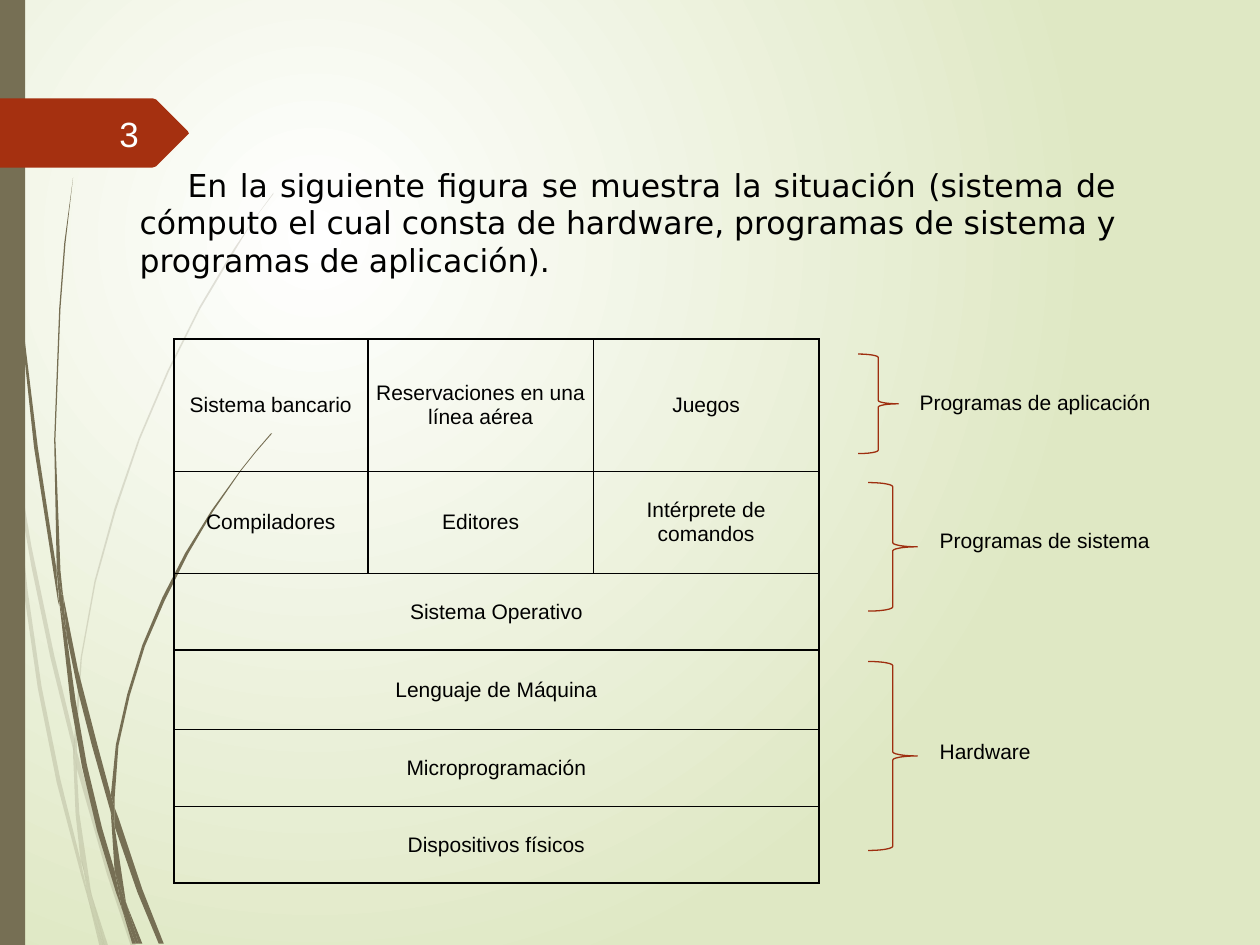
from lxml import etree
from pptx import Presentation
from pptx.dml.color import RGBColor
from pptx.enum.shapes import MSO_SHAPE
from pptx.enum.text import MSO_ANCHOR, PP_ALIGN
from pptx.oxml.ns import qn
from pptx.util import Emu, Inches, Pt

RECTANGLE, RIGHT_BRACE = MSO_SHAPE.RECTANGLE, MSO_SHAPE.RIGHT_BRACE
TOP, MIDDLE = MSO_ANCHOR.TOP, MSO_ANCHOR.MIDDLE
LEFT, CENTER, RIGHT, JUSTIFY = PP_ALIGN.LEFT, PP_ALIGN.CENTER, PP_ALIGN.RIGHT, PP_ALIGN.JUSTIFY

BLACK, WHITE, PALE_GREEN = "000000", "FFFFFF", "DFE8C4"
OLIVE, RED, DARK_RED, OFF_WHITE = "766F54", "A53010", "9E2E0F", "FEFFFF"

PALE_STRANDS = [
    [(0.08, 3.5), (0.06, 3.22), (0, 2.82), (0, 2.99), (0.07, 3.44)],
    [(0.4, 5.22), (0.59, 5.99), (0.59, 5.86), (0.43, 5.2), (0.25, 4.34), (0.1, 3.45),
     (0.12, 3.76), (0.25, 4.5)],
    [(0.64, 6.07), (0.61, 5.96), (0.61, 6.1), (0.85, 6.94), (1.04, 7.51), (1.08, 7.51),
     (0.88, 6.92)],
    [(0.83, 7.51), (0.86, 7.51), (0.73, 7.11)],
    [(0.64, 6.83), (0.48, 6.19), (0.33, 5.45), (0.22, 4.69), (0.12, 3.76), (0.08, 3.5),
     (0.19, 4.7), (0.3, 5.46), (0.45, 6.21), (0.64, 6.93), (0.7, 7.14), (0.69, 7.07)],
    [(0.58, 5.99), (0.6, 6.46), (0.64, 6.83), (0.67, 6.92), (0.73, 7.11), (0.72, 7.06),
     (0.63, 6.46), (0.61, 6.1), (0.61, 6.08)],
    [(0.61, 5.84), (0.65, 5.22), (0.76, 4.62), (0.92, 4.05), (1.11, 3.49), (1.34, 2.95),
     (1.59, 2.45), (1.87, 1.98), (2.01, 1.75), (2.17, 1.54), (2.17, 1.53), (2.01, 1.75),
     (1.86, 1.97), (1.58, 2.44), (1.33, 2.94), (1.1, 3.48), (0.91, 4.03), (0.75, 4.61),
     (0.64, 5.22), (0.59, 5.84), (0.59, 5.86), (0.61, 5.96)],
    [(0.7, 7.14), (0.79, 7.51), (0.82, 7.51)],
    [(0.61, 6.08), (0.61, 6.1), (0.61, 5.96), (0.59, 5.86), (0.58, 5.99)],
    [(0.67, 6.92), (0.65, 6.83), (0.69, 7.07), (0.7, 7.14), (0.82, 7.51), (0.83, 7.51),
     (0.73, 7.11)],
]
DARK_STRANDS = [
    [(0.05, 1.1), (0.14, 2.33), (0.27, 3.55), (0.46, 4.77), (0.47, 4.81), (0.45, 4.57),
     (0.45, 4.53), (0.3, 3.55), (0.15, 2.32), (0.06, 1.09), (0.04, 0.48), (0.03, 0),
     (0.02, 0), (0.03, 0.48)],
    [(0.73, 5.92), (0.88, 6.45), (0.88, 6.33), (0.88, 6.31), (0.77, 5.9), (0.62, 5.32),
     (0.5, 4.72), (0.53, 5.05), (0.62, 5.49)],
    [(0.94, 6.49), (0.91, 6.41), (0.91, 6.56), (1.09, 7.08), (1.26, 7.49), (1.3, 7.49),
     (1.13, 7.06)],
    [(0.91, 6.91), (0.81, 6.57), (0.69, 6.07), (0.6, 5.56), (0.53, 5.05), (0.47, 4.77),
     (0.56, 5.57), (0.65, 6.08), (0.77, 6.59), (0.92, 7.08), (0.97, 7.22), (0.96, 7.17)],
    [(0.5, 4.72), (0.48, 4.53), (0.44, 3.49), (0.48, 2.45), (0.52, 1.93), (0.58, 1.41),
     (0.51, 1.93), (0.47, 2.45), (0.43, 3.49), (0.45, 4.49), (0.49, 4.72)],
    [(1.1, 7.49), (1.13, 7.49), (1.01, 7.19)],
    [(0.47, 4.77), (0.53, 5.05), (0.5, 4.72), (0.49, 4.72), (0.45, 4.49), (0.45, 4.53)],
    [(0.91, 6.33), (0.94, 5.92), (1.03, 5.52), (1.15, 5.13), (1.31, 4.76), (1.49, 4.4),
     (1.69, 4.06), (1.91, 3.74), (2.03, 3.59), (2.16, 3.44), (2.15, 3.44), (2.03, 3.58),
     (1.91, 3.73), (1.68, 4.05), (1.47, 4.39), (1.29, 4.74), (1.13, 5.12), (1.01, 5.51),
     (0.92, 5.91), (0.88, 6.31), (0.91, 6.41)],
    [(0.97, 7.22), (1.05, 7.49), (1.08, 7.49)],
    [(0.88, 6.45), (0.91, 6.91), (0.96, 7.06), (1.01, 7.19), (1, 7.16), (0.91, 6.56),
     (0.9, 6.51)],
    [(0.88, 6.45), (0.9, 6.51), (0.91, 6.56), (0.91, 6.41), (0.88, 6.31), (0.88, 6.33)],
    [(0.96, 7.06), (0.91, 6.91), (0.96, 7.17), (0.97, 7.22), (1.08, 7.49), (1.1, 7.49),
     (1.01, 7.19)],
]
PAGE_TAG = [(0, 0.78), (1.21, 0.78), (1.24, 0.79), (1.49, 1.04), (1.5, 1.06), (1.49, 1.07),
            (1.24, 1.32), (1.21, 1.33), (0, 1.33)]

INTRODUCTION = ("En la siguiente figura se muestra la situación (sistema de cómputo el cual "
                "consta de hardware, programas de sistema y programas de aplicación).")
LAYERS = [
    ["Sistema bancario", "Reservaciones en una línea aérea", "Juegos"],
    ["Compiladores", "Editores", "Intérprete de comandos"],
    ["Sistema Operativo"],
    ["Lenguaje de Máquina"],
    ["Microprogramación"],
    ["Dispositivos físicos"],
]
COLUMN_WIDTHS = [1.54, 1.79, 1.79]
ROW_HEIGHTS = [1.05, 0.81, 0.61, 0.63, 0.61, 0.61]
BRACES = [(6.81, 2.81, 0.32, 0.79), (6.89, 3.83, 0.39, 1.02), (6.89, 5.25, 0.39, 1.5)]
LABELS = [
    ("Programas de aplicación", (7.2, 3.04, 2.28, 0.47)),
    ("Programas de sistema", (7.36, 4.14, 2.05, 0.47)),
    ("Hardware", (7.36, 5.81, 1.6, 0.3)),
]


def color(value):
    return RGBColor.from_string(value)


def set_background(slide):
    fill = slide.background.fill
    fill.gradient()
    for stop, position, value in zip(fill.gradient_stops, (0, 1), (WHITE, PALE_GREEN)):
        stop.position = position
        stop.color.rgb = color(value)
    gradient = next(slide.element.iter(qn("a:gradFill")))
    gradient.remove(gradient.find(qn("a:lin")))
    circle = etree.SubElement(gradient, qn("a:path"), path="circle")
    etree.SubElement(circle, qn("a:fillToRect"), l="50000", t="50000", r="100000", b="100000")


def paint(shape, fill, opacity=100):
    shape.shadow.inherit = False
    shape.fill.solid()
    shape.fill.fore_color.rgb = color(fill)
    shape.line.fill.background()
    if opacity < 100:
        solid = next(shape.element.iter(qn("a:srgbClr")))
        etree.SubElement(solid, qn("a:alpha"), val=str(opacity * 1000))


def add_outline(slide, points, fill, opacity=100):
    start, *others = [(Inches(x), Inches(y)) for x, y in points]
    builder = slide.shapes.build_freeform(*start)
    builder.add_line_segments(others, close=True)
    shape = builder.convert_to_shape()
    paint(shape, fill, opacity)
    return shape


def add_strands(slide, strands, opacity=100):
    shapes = [add_outline(slide, points, OLIVE, opacity) for points in strands]
    slide.shapes.add_group_shape(shapes)


def write_text(frame, text, size=12, font="Arial", fill=BLACK, align=LEFT, indent=0,
               space_after=0):
    frame.word_wrap = True
    paragraph = frame.paragraphs[0]
    paragraph.alignment = align
    paragraph.space_after = Pt(space_after)
    if indent:
        paragraph._p.get_or_add_pPr().set("indent", str(Inches(indent)))
    run = paragraph.add_run()
    run.text = text
    run.font.size = Pt(size)
    run.font.name = font
    run.font.color.rgb = color(fill)


def add_text(slide, text, box, anchor=TOP, **text_format):
    frame = slide.shapes.add_textbox(*map(Inches, box)).text_frame
    frame.vertical_anchor = anchor
    write_text(frame, text, **text_format)


def add_brace(slide, box):
    shape = slide.shapes.add_shape(RIGHT_BRACE, *map(Inches, box))
    shape.shadow.inherit = False
    shape.fill.background()
    shape.line.color.rgb = color(DARK_RED)
    shape.line.width = Pt(0.75)


def format_cell(cell):
    cell.vertical_anchor = MIDDLE
    cell.margin_left = cell.margin_right = Inches(0.05)
    cell.margin_top = cell.margin_bottom = Emu(0)
    cell.fill.background()
    properties = cell._tc.get_or_add_tcPr()
    for index, side in enumerate(("a:lnL", "a:lnR", "a:lnT", "a:lnB")):
        border = etree.Element(qn(side), w=str(Pt(1)))
        solid = etree.SubElement(border, qn("a:solidFill"))
        etree.SubElement(solid, qn("a:srgbClr"), val=BLACK)
        properties.insert(index, border)


def add_layer_table(slide):
    box = (1.38, 2.69, sum(COLUMN_WIDTHS), sum(ROW_HEIGHTS))
    table = slide.shapes.add_table(len(LAYERS), len(COLUMN_WIDTHS), *map(Inches, box)).table
    table.first_row = table.horz_banding = False
    for column, width in zip(table.columns, COLUMN_WIDTHS):
        column.width = Inches(width)
    for row, height in zip(table.rows, ROW_HEIGHTS):
        row.height = Inches(height)
    for cell in table.iter_cells():
        format_cell(cell)
    for row_index, names in enumerate(LAYERS):
        if len(names) == 1:
            table.cell(row_index, 0).merge(table.cell(row_index, len(COLUMN_WIDTHS) - 1))
        for column_index, name in enumerate(names):
            write_text(table.cell(row_index, column_index).text_frame, name, align=CENTER)


def main():
    presentation = Presentation()
    presentation.slide_width, presentation.slide_height = Inches(10), Inches(7.5)
    slide = presentation.slides.add_slide(presentation.slide_layouts[6])
    set_background(slide)
    add_strands(slide, PALE_STRANDS, opacity=20)
    add_strands(slide, DARK_STRANDS)
    paint(slide.shapes.add_shape(RECTANGLE, 0, 0, Inches(0.2), Inches(7.5)), OLIVE)
    add_outline(slide, PAGE_TAG, RED)
    add_layer_table(slide)
    add_text(slide, INTRODUCTION, (1.01, 1.26, 7.95, 1.01), anchor=MIDDLE, size=18,
             font="DejaVu Sans", align=JUSTIFY, indent=0.38)
    for box in BRACES:
        add_brace(slide, box)
    for text, box in LABELS:
        add_text(slide, text, box, space_after=10)
    add_text(slide, "3", (0.56, 0.86, 0.64, 0.4), anchor=MIDDLE, size=20, fill=OFF_WHITE,
             align=RIGHT)
    presentation.save("out.pptx")


if __name__ == "__main__":
    main()
